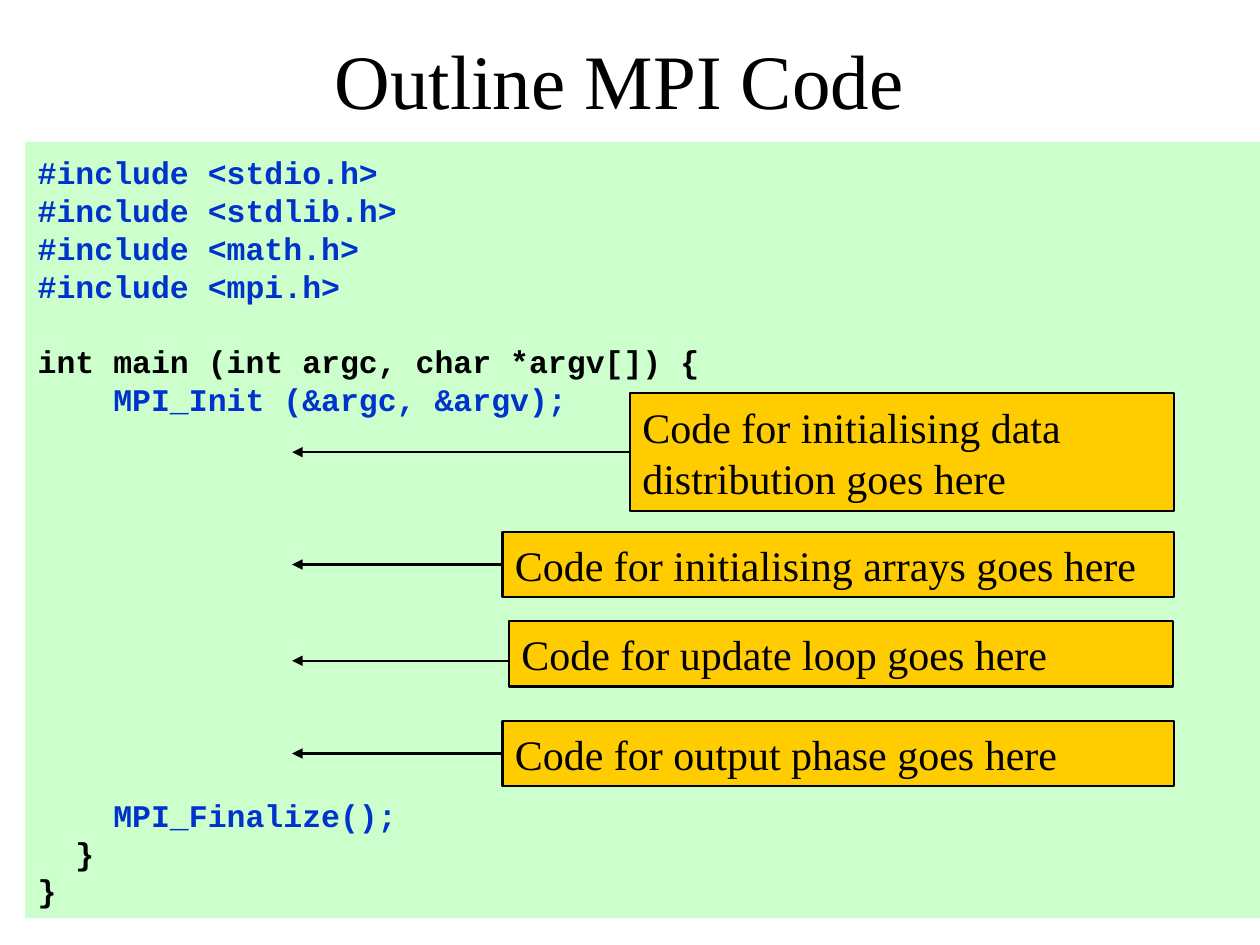
from dataclasses import dataclass

from lxml import etree
from pptx import Presentation
from pptx import util as u
from pptx.dml.color import RGBColor
from pptx.enum import shapes, text
from pptx.oxml.ns import qn


@dataclass(frozen=True)
class Theme:
    ink: str = "000000"
    keyword: str = "0033CC"
    code_fill: str = "CCFFCC"
    callout_fill: str = "FFCC00"
    serif: str = "Times New Roman"
    mono: str = "Courier New"
    title_size: float = 44
    code_size: float = 18
    callout_size: float = 24
    line_width: float = 1.25
    leading: float = 1.2


@dataclass(frozen=True)
class Box:
    left: float
    top: float
    width: float
    height: float

    def lengths(self) -> tuple:
        return tuple(u.Cm(v) for v in (self.left, self.top, self.width, self.height))


@dataclass(frozen=True)
class CodeLine:
    code: str
    color: str
    lines_before: int = 0


@dataclass(frozen=True)
class Callout:
    label: str
    box: Box
    arrow_y: float | None = None  # None: middle of the box's left side


THEME = Theme()
ARROW_TIP = 5.89
TITLE_BOX = Box(0.64, 0, 23.7, 3.18)
CODE_BOX = Box(0.51, 2.86, 24.89, 15.65)

CODE = [
    CodeLine("#include <stdio.h>", THEME.keyword),
    CodeLine("#include <stdlib.h>", THEME.keyword),
    CodeLine("#include <math.h>", THEME.keyword),
    CodeLine("#include <mpi.h>", THEME.keyword),
    CodeLine("int main (int argc, char *argv[]) {", THEME.ink, 1),
    CodeLine("    MPI_Init (&argc, &argv);", THEME.keyword),
    CodeLine("    MPI_Finalize();", THEME.keyword, 10),
    CodeLine("  }", THEME.ink),
    CodeLine("}", THEME.ink),
]

CALLOUTS = [
    Callout("Code for initialising data distribution goes here", Box(12.7, 7.92, 10.97, 2.39)),
    Callout("Code for initialising arrays goes here", Box(10.13, 10.72, 13.54, 1.32)),
    Callout("Code for update loop goes here", Box(10.26, 12.52, 13.39, 1.32), 13.32),
    Callout("Code for output phase goes here", Box(10.13, 14.53, 13.54, 1.32)),
]


def set_attributes(target, values: dict) -> None:
    for name, value in values.items():
        setattr(target, name, value)


def add_run(paragraph, words: str, font: str, size: float, color: str, bold: bool = False) -> None:
    run = paragraph.add_run()
    run.text = words
    set_attributes(run.font, {"name": font, "size": u.Pt(size), "bold": bold})
    run.font.color.rgb = RGBColor.from_string(color)


def add_panel(slide, box: Box, fill: str, frame_format: dict):
    panel = slide.shapes.add_shape(shapes.MSO_SHAPE.RECTANGLE, *box.lengths())
    panel.shadow.inherit = False
    panel.fill.solid()
    panel.fill.fore_color.rgb = RGBColor.from_string(fill)
    panel.line.fill.background()
    set_attributes(panel.text_frame, frame_format)
    return panel


def draw_line(line) -> None:
    line.color.rgb = RGBColor.from_string(THEME.ink)
    line.width = u.Pt(THEME.line_width)


def format_paragraph(paragraph, size: float, lines_before: int = 0) -> None:
    pitch = size * THEME.leading
    set_attributes(paragraph, {
        "alignment": text.PP_ALIGN.LEFT,
        "line_spacing": u.Pt(pitch),
        "space_before": u.Pt(pitch * lines_before),
    })


def add_title(slide, words: str) -> None:
    title = slide.shapes.title
    set_attributes(title, dict(zip(("left", "top", "width", "height"), TITLE_BOX.lengths())))
    title.text_frame.vertical_anchor = text.MSO_ANCHOR.MIDDLE
    paragraph = title.text_frame.paragraphs[0]
    paragraph.alignment = text.PP_ALIGN.CENTER
    add_run(paragraph, words, THEME.serif, THEME.title_size, THEME.ink)


def add_code(slide, lines: list[CodeLine]) -> None:
    frame = add_panel(slide, CODE_BOX, THEME.code_fill, {
        "vertical_anchor": text.MSO_ANCHOR.TOP,
        "margin_top": u.Cm(0.23),
        "word_wrap": True,
    }).text_frame
    for index, line in enumerate(lines):
        paragraph = frame.add_paragraph() if index else frame.paragraphs[0]
        format_paragraph(paragraph, THEME.code_size, line.lines_before)
        add_run(paragraph, line.code, THEME.mono, THEME.code_size, line.color, bold=True)


def add_callout(slide, callout: Callout) -> None:
    box = callout.box
    panel = add_panel(slide, box, THEME.callout_fill, {
        "vertical_anchor": text.MSO_ANCHOR.MIDDLE,
        "word_wrap": True,
    })
    draw_line(panel.line)
    paragraph = panel.text_frame.paragraphs[0]
    format_paragraph(paragraph, THEME.callout_size)
    add_run(paragraph, callout.label, THEME.serif, THEME.callout_size, THEME.ink)

    y = u.Cm(callout.arrow_y or box.top + box.height / 2)
    arrow = slide.shapes.add_connector(
        shapes.MSO_CONNECTOR.STRAIGHT, u.Cm(box.left), y, u.Cm(ARROW_TIP), y)
    if callout.arrow_y is None:
        arrow.begin_connect(panel, 1)
    draw_line(arrow.line)
    properties = arrow._element.spPr
    etree.SubElement(properties.find(qn("a:ln")), qn("a:tailEnd"), type="triangle")
    etree.SubElement(properties, qn("a:effectLst"))


def main() -> None:
    deck = Presentation()
    set_attributes(deck, {"slide_width": u.Cm(25.4), "slide_height": u.Cm(19.05)})
    slide = deck.slides.add_slide(deck.slide_layouts[5])
    add_title(slide, "Outline MPI Code")
    add_code(slide, CODE)
    for callout in CALLOUTS:
        add_callout(slide, callout)
    deck.save("out.pptx")


if __name__ == "__main__":
    main()
